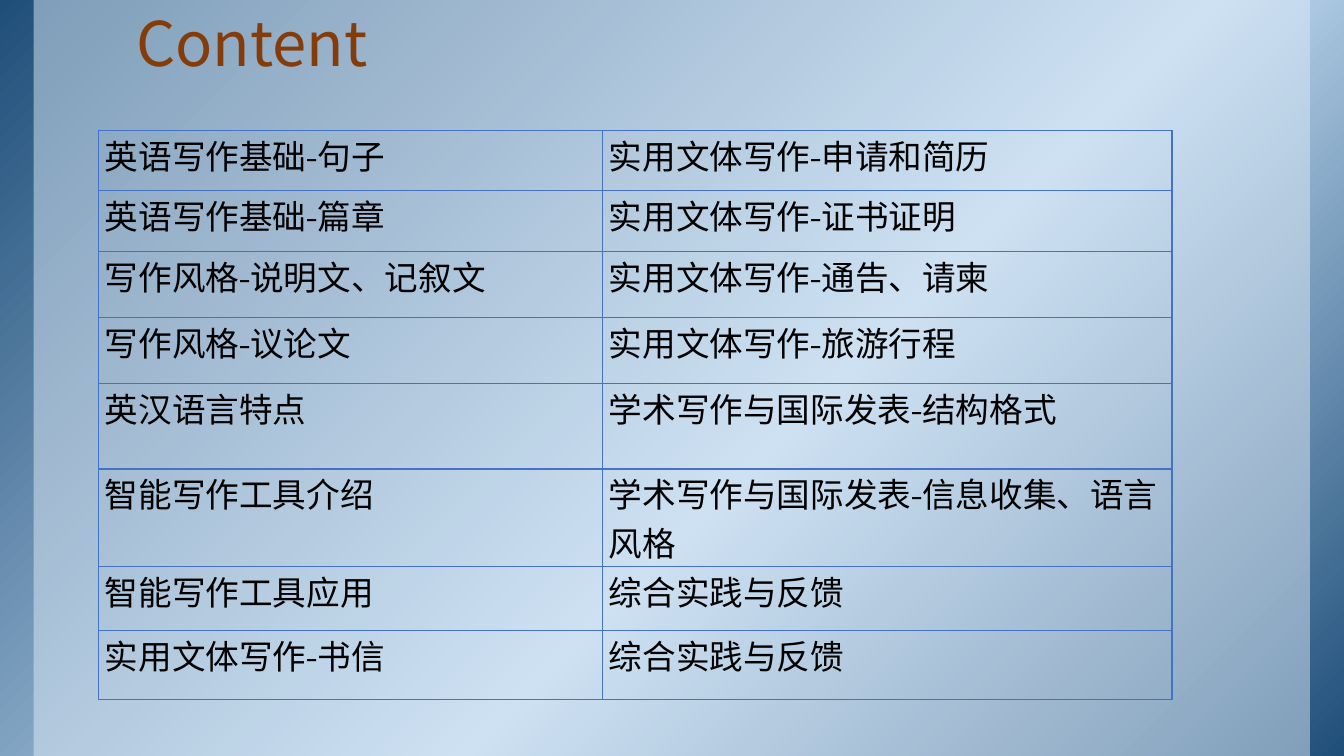
from dataclasses import dataclass

from lxml.etree import SubElement
from pptx import Presentation
from pptx.dml.color import RGBColor
from pptx.enum.shapes import MSO_SHAPE
from pptx.enum.text import MSO_ANCHOR, MSO_AUTO_SIZE, PP_ALIGN
from pptx.oxml.ns import qn
from pptx.util import Pt

CJK_FONT = "Noto Sans CJK SC"
TABLE_FONT = "TeX Gyre Adventor"
BORDER = "4472C4"
GRADIENT = ((0, "1F4E79"), (58, "BDD7EE"), (100, "1F4E79"))
COLUMN_WIDTHS = (360, 406.8)


@dataclass
class Panel:
    left: float
    width: float


@dataclass
class Row:
    height: float
    left: str
    right: str


ROWS = (
    Row(43.2, "英语写作基础-句子", "实用文体写作-申请和简历"),
    Row(43.6, "英语写作基础-篇章", "实用文体写作-证书证明"),
    Row(47.2, "写作风格-说明文、记叙文", "实用文体写作-通告、请柬"),
    Row(47, "写作风格-议论文", "实用文体写作-旅游行程"),
    Row(61, "英汉语言特点", "学术写作与国际发表-结构格式"),
    Row(61, "智能写作工具介绍", "学术写作与国际发表-信息收集、语言风格"),
    Row(45.6, "智能写作工具应用", "综合实践与反馈"),
    Row(49.6, "实用文体写作-书信", "综合实践与反馈"),
)


def rgb(value: str) -> RGBColor:
    return RGBColor.from_string(value)


def add_panel(s, panel: Panel):
    sp = s.shapes.add_shape(
        MSO_SHAPE.RECTANGLE, Pt(panel.left), Pt(0), Pt(panel.width), Pt(540)
    )
    sp.shadow.inherit = False
    sp.line.fill.background()
    return sp


def add_background(s) -> None:
    sp = add_panel(s, Panel(0, 960))
    sp.fill.gradient()
    sp.fill.gradient_angle = 315
    stops = sp._element.spPr.find(qn("a:gradFill")).find(qn("a:gsLst"))
    for stop in list(stops):
        stops.remove(stop)
    for position, color in GRADIENT:
        stop = SubElement(stops, qn("a:gs"), pos=str(position * 1000))
        SubElement(stop, qn("a:srgbClr"), val=color)

    sp = add_panel(s, Panel(24, 911.6))
    sp.fill.solid()
    sp.fill.fore_color.rgb = rgb("DEEBF7")
    color = sp._element.spPr.find(qn("a:solidFill"))[0]
    SubElement(color, qn("a:alpha"), val="50000")


def format_run(r, font: str, size: float, color: str) -> None:
    r.font.name = font
    r.font.size = Pt(size)
    r.font.color.rgb = rgb(color)
    SubElement(r.font._element, qn("a:ea"), typeface=CJK_FONT)


def add_title(s) -> None:
    sp = s.shapes.title
    s.shapes._spTree.append(sp._element)
    sp.left, sp.top, sp.width, sp.height = Pt(87.8), Pt(5.8), Pt(800), Pt(56)
    tf = sp.text_frame
    tf.text = "Content"
    tf.auto_size = MSO_AUTO_SIZE.NONE
    tf.vertical_anchor = MSO_ANCHOR.BOTTOM
    tf.margin_left = tf.margin_right = Pt(9.4)
    tf.margin_top = tf.margin_bottom = Pt(5)
    p = tf.paragraphs[0]
    p.alignment = PP_ALIGN.LEFT
    p.line_spacing = 0.85
    format_run(p.runs[0], CJK_FONT, 44, "843C0B")


def format_cell(cell, text: str) -> None:
    cell.margin_left = cell.margin_right = Pt(4.5)
    cell.margin_top = cell.margin_bottom = Pt(0)
    cell.text_frame.text = text
    format_run(cell.text_frame.paragraphs[0].runs[0], TABLE_FONT, 24, "000000")
    properties = cell._tc.get_or_add_tcPr()
    for side in ("lnL", "lnR", "lnT", "lnB"):
        line = SubElement(properties, qn(f"a:{side}"), w=str(Pt(1)))
        fill = SubElement(line, qn("a:solidFill"))
        SubElement(fill, qn("a:srgbClr"), val=BORDER)
    cell.fill.background()


def add_contents(s) -> None:
    table = s.shapes.add_table(
        len(ROWS), len(COLUMN_WIDTHS), Pt(70.4), Pt(93),
        Pt(sum(COLUMN_WIDTHS)), Pt(sum(row.height for row in ROWS)),
    ).table
    table.first_row = table.horz_banding = False
    for column, width in zip(table.columns, COLUMN_WIDTHS):
        column.width = Pt(width)
    for i, row in enumerate(ROWS):
        table.rows[i].height = Pt(row.height)
        for j, text in enumerate((row.left, row.right)):
            format_cell(table.cell(i, j), text)


def main() -> None:
    prs = Presentation()
    prs.slide_width, prs.slide_height = Pt(960), Pt(540)
    s = prs.slides.add_slide(prs.slide_layouts[5])
    add_background(s)
    add_title(s)
    add_contents(s)
    prs.save("out.pptx")


if __name__ == "__main__":
    main()
